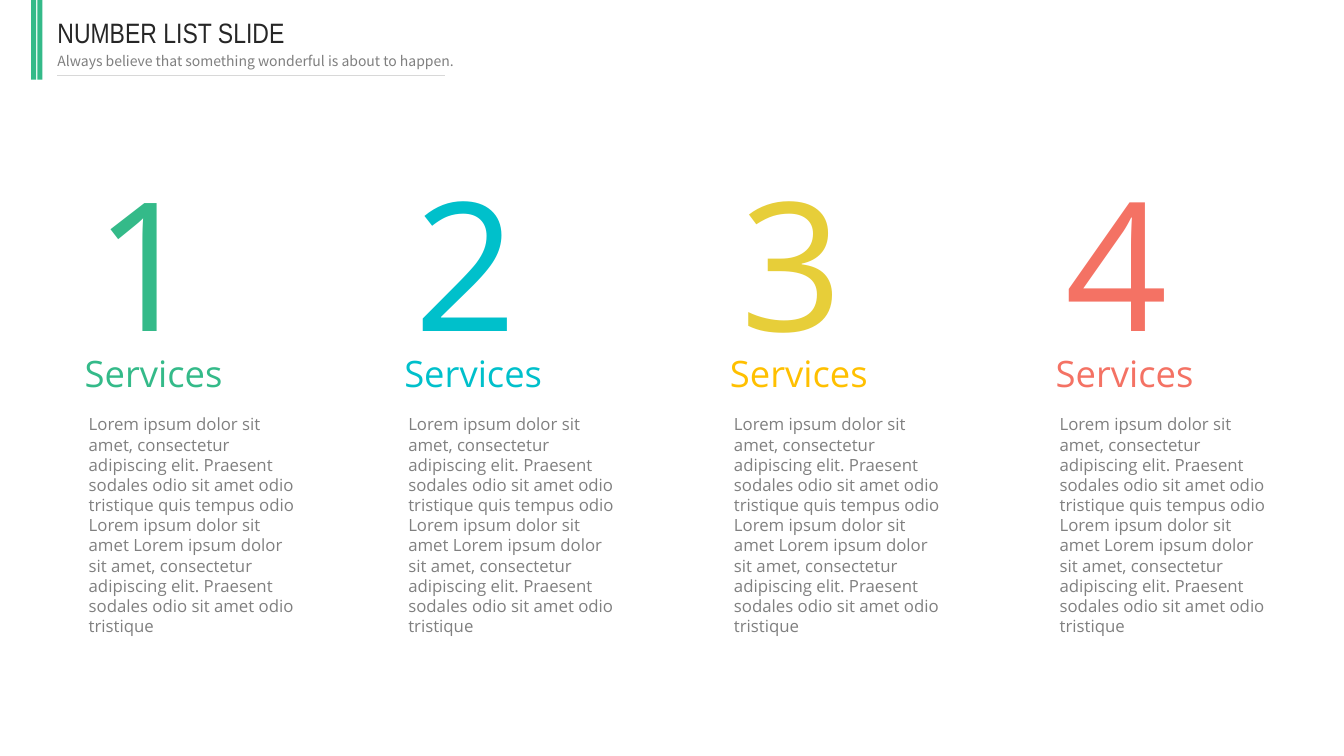
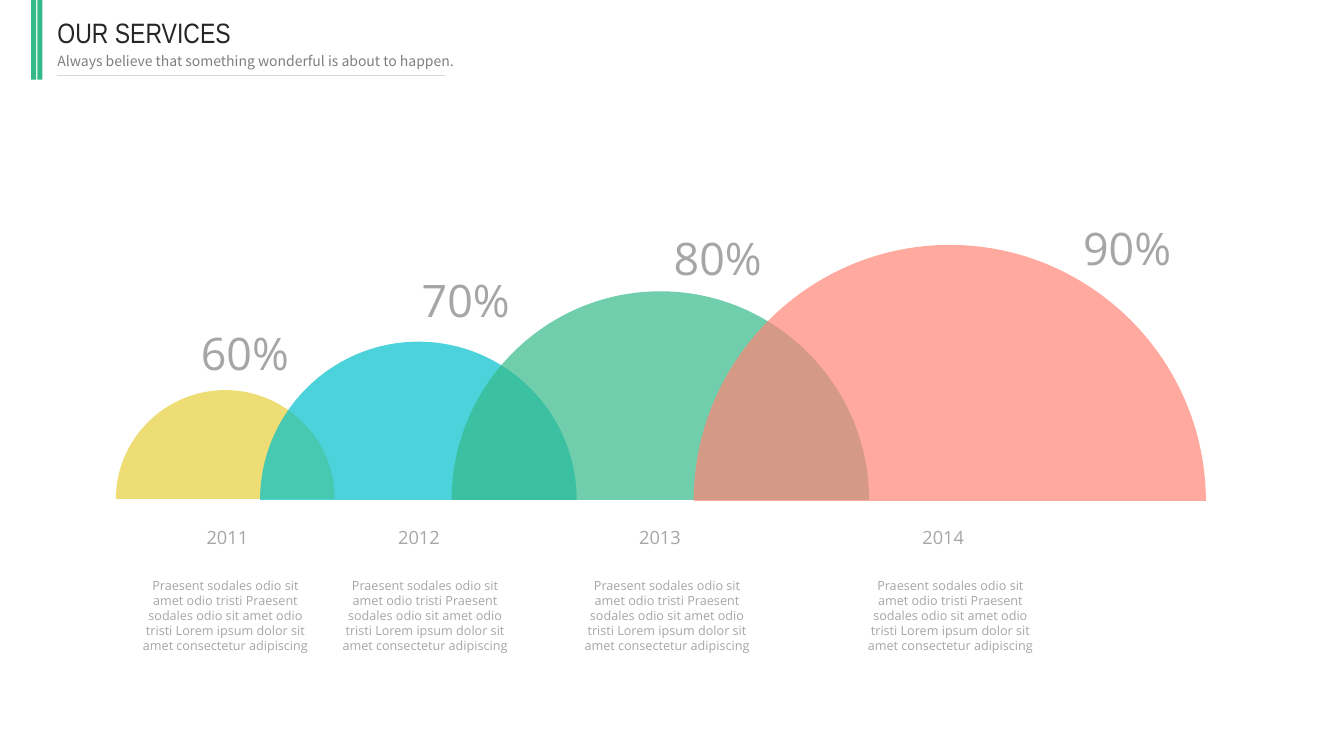
from lxml import etree
from pptx import Presentation
from pptx.dml.color import RGBColor
from pptx.enum.shapes import MSO_CONNECTOR, MSO_SHAPE
from pptx.enum.text import MSO_AUTO_SIZE, PP_ALIGN
from pptx.oxml.ns import qn
from pptx.util import Inches, Pt

GREEN = RGBColor(0x34, 0xBA, 0x89)
CYAN = RGBColor(0x00, 0xC0, 0xCB)
YELLOW = RGBColor(0xE7, 0xCE, 0x39)
AMBER = RGBColor(0xFF, 0xC0, 0x00)
CORAL = RGBColor(0xF4, 0x72, 0x64)
SALMON = RGBColor(0xFF, 0x85, 0x77)
TITLE_INK = RGBColor(0x26, 0x26, 0x26)
SUBTITLE_GRAY = RGBColor(0x7F, 0x7F, 0x7F)
BODY_GRAY = RGBColor(0x80, 0x80, 0x80)
LABEL_GRAY = RGBColor(0xA6, 0xA6, 0xA6)
RULE_GRAY = RGBColor(0xD8, 0xD8, 0xD8)

BODY_FONT = "Open Sans"
TITLE_FONT = "Arial Narrow"
SUBTITLE_FONT = "Noto Sans CJK SC"
ARC_PULL = 0.55

SUBTITLE = "Always believe that something wonderful is about to happen."
SERVICE_TEXT = (
    "Lorem ipsum dolor sit amet, consectetur adipiscing elit. Praesent sodales odio sit amet odio "
    "tristique quis tempus odio Lorem ipsum dolor sit amet Lorem ipsum dolor sit amet, consectetur "
    "adipiscing elit. Praesent sodales odio sit amet odio tristique"
)
YEAR_TEXT = (
    "Praesent sodales odio sit amet odio tristi Praesent sodales odio sit amet odio tristi "
    "Lorem ipsum dolor sit amet consectetur adipiscing"
)


def add_text(shapes, text, left, top, width, height, size, color,
             font=BODY_FONT, align=PP_ALIGN.LEFT, inset=0.05, wrap=True):
    box = shapes.add_textbox(Inches(left), Inches(top), Inches(width), Inches(height))
    frame = box.text_frame
    frame.margin_left = frame.margin_right = Inches(inset)
    frame.margin_top = frame.margin_bottom = Inches(inset)
    frame.word_wrap = wrap
    frame.auto_size = MSO_AUTO_SIZE.SHAPE_TO_FIT_TEXT
    frame.text = text
    paragraph = frame.paragraphs[0]
    paragraph.alignment = align
    run_font = paragraph.runs[0].font
    run_font.name = font
    run_font.size = Pt(size)
    run_font.color.rgb = color
    return paragraph


def add_header(slide, title):
    bars = slide.shapes.add_group_shape().shapes
    for left in (0.31, 0.37):
        bar = bars.add_shape(MSO_SHAPE.RECTANGLE, Inches(left), 0, Inches(0.05), Inches(0.79))
        bar.shadow.inherit = False
        bar.fill.solid()
        bar.fill.fore_color.rgb = GREEN
        bar.line.fill.background()
    add_text(slide.shapes, title, 0.52, 0.1, 4.23, 0.43, 20, TITLE_INK, TITLE_FONT)
    add_text(slide.shapes, SUBTITLE, 0.52, 0.47, 4.23, 0.27, 10, SUBTITLE_GRAY, SUBTITLE_FONT)
    rule = slide.shapes.add_connector(
        MSO_CONNECTOR.STRAIGHT, Inches(0.57), Inches(0.75), Inches(4.41), Inches(0.75))
    rule.line.color.rgb = RULE_GRAY
    rule.line.width = Pt(0.75)
    etree.SubElement(rule._element.spPr, qn("a:effectLst"))


prs = Presentation()
prs.slide_width = Inches(13.33)
prs.slide_height = Inches(7.5)

number_slide = prs.slides.add_slide(prs.slide_layouts[6])
services = [
    (0.83, GREEN, GREEN),
    (4, CYAN, CYAN),
    (7.23, YELLOW, AMBER),
    (10.46, CORAL, CORAL),
]
for number, (left, number_color, heading_color) in enumerate(services, 1):
    column = number_slide.shapes.add_group_shape().shapes
    add_text(column, SERVICE_TEXT, left, 4.06, 2.23, 2.04, 12, BODY_GRAY)
    add_text(column, "Services", left - 0.04, 3.43, 1.98, 0.53, 26, heading_color)
    add_text(column, str(number), left + 0.06, 1.46, 0.83, 2.24, 128, number_color,
             align=PP_ALIGN.CENTER)
add_header(number_slide, "NUMBER LIST SLIDE")

growth_slide = prs.slides.add_slide(prs.slide_layouts[6])
years = [
    ("2011", "60%", YELLOW, 1.15, 3.87, 2.17, 1.08, 1.75, 1.35, 1.93, 3.18),
    ("2012", "70%", CYAN, 2.58, 3.39, 3.14, 1.57, 3.65, 3.33, 4.12, 2.66),
    ("2013", "80%", GREEN, 4.48, 2.89, 4.14, 2.07, 6.04, 5.73, 6.62, 2.24),
    ("2014", "90%", SALMON, 6.88, 2.43, 5.08, 2.54, 8.85, 8.54, 10.68, 2.14),
]
for (year, percent, color, dome_left, dome_top, dome_width, dome_height,
     year_left, text_left, percent_left, percent_top) in years:
    column = growth_slide.shapes.add_group_shape().shapes
    left, top = Inches(dome_left), Inches(dome_top)
    radius, height = Inches(dome_width / 2), Inches(dome_height)
    right, base = left + 2 * radius, top + height
    outline = column.build_freeform(left, base)
    outline.add_line_segments([(left + radius, top), (right, base), (left + radius, base)])
    dome = outline.convert_to_shape()
    dome.shadow.inherit = False
    dome.fill.solid()
    dome.fill.fore_color.rgb = color
    dome.line.fill.background()
    fill_color = dome._element.spPr.find(qn("a:solidFill")).find(qn("a:srgbClr"))
    etree.SubElement(fill_color, qn("a:alpha"), val="70000")

    pull_x, pull_y = int(radius * ARC_PULL), int(height * ARC_PULL)
    quarter_arcs = [
        [(0, height - pull_y), (radius - pull_x, 0), (radius, 0)],
        [(radius + pull_x, 0), (2 * radius, height - pull_y), (2 * radius, height)],
    ]
    sides = list(dome._element.spPr.iter(qn("a:lnTo")))
    for side, quarter_arc in zip(sides, quarter_arcs):
        curve = etree.Element(qn("a:cubicBezTo"))
        for x, y in quarter_arc:
            etree.SubElement(curve, qn("a:pt"), x=str(x), y=str(y))
        side.getparent().replace(side, curve)

    year_label = add_text(column, year, year_left, 5.15, 1.01, 0.36, 13, LABEL_GRAY,
                          align=PP_ALIGN.CENTER, inset=0.07)
    year_label.space_before = Pt(3)
    add_text(column, YEAR_TEXT, text_left, 5.68, 1.77, 0.86, 9, LABEL_GRAY,
             align=PP_ALIGN.CENTER)
    add_text(column, percent, percent_left, percent_top, 1, 0.63, 32, LABEL_GRAY,
             align=PP_ALIGN.CENTER, wrap=False)
add_header(growth_slide, "OUR SERVICES")

prs.save("out.pptx")
